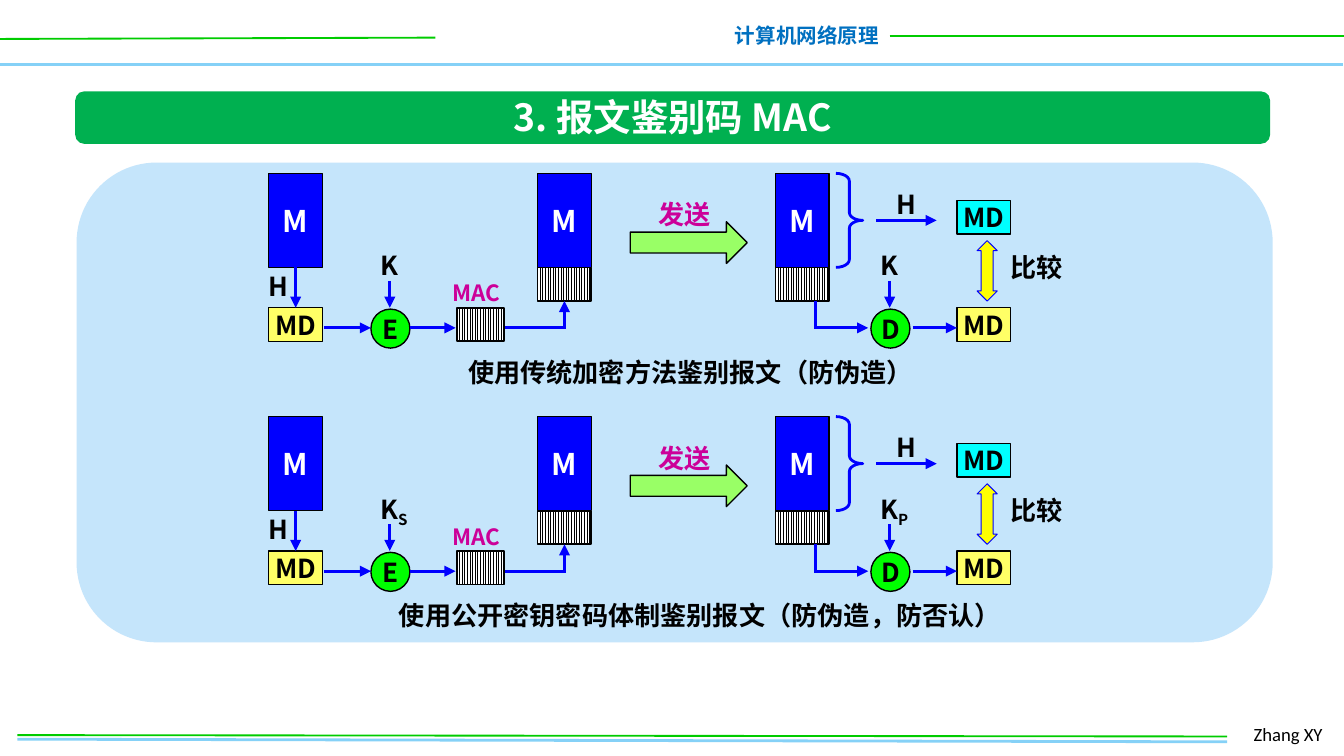
from dataclasses import dataclass

from lxml.etree import SubElement
from pptx import Presentation
from pptx.dml.color import RGBColor
from pptx.enum.dml import MSO_PATTERN
from pptx.enum.shapes import MSO_CONNECTOR, MSO_SHAPE
from pptx.enum.text import MSO_ANCHOR, MSO_AUTO_SIZE, PP_ALIGN
from pptx.oxml.ns import qn
from pptx.util import Inches, Pt


@dataclass(frozen=True)
class Theme:
    font: str = "Noto Sans CJK SC"
    footer_font: str = "Calibri"
    black: str = "000000"
    white: str = "FFFFFF"
    blue: str = "0000FF"
    yellow: str = "FFFF00"
    digest: str = "FFFF66"
    received_digest: str = "00FFFF"
    cipher: str = "00FF00"
    send: str = "99FF66"
    accent: str = "CC0099"
    banner: str = "00B050"
    panel: str = "C5E5FB"
    course: str = "0070C0"
    green_rule: str = "00CC00"
    sky_rule: str = "85D1F7"
    title_size: float = 20
    message_size: float = 16
    body_size: float = 14
    mac_size: float = 12
    course_size: float = 11
    footer_size: float = 10


THEME = Theme()
SCHEME_STEP = 1.81
FLOW_Y = 2.44  # height of the horizontal flow in the first scheme


def color(value):
    return RGBColor.from_string(value)


def place(shape, left, top, width, height):
    shape.left, shape.top = Inches(left), Inches(top)
    shape.width, shape.height = Inches(width), Inches(height)


def format_span(span, size, fill, bold=True, font=THEME.font):
    span.font.size = Pt(size)
    span.font.bold = bold
    span.font.name = font
    span.font.color.rgb = color(fill)
    SubElement(span.font._element, qn("a:ea"), typeface=font)


def write(frame, text, size, fill, align=PP_ALIGN.CENTER, **font_options):
    frame.text = text
    frame.word_wrap = False
    para = frame.paragraphs[0]
    para.alignment = align
    format_span(para.runs[0], size, fill, **font_options)


def add_label(shapes, bounds, text, size=THEME.body_size, fill=THEME.black,
              align=PP_ALIGN.LEFT, subscript="", **font_options):
    box = shapes.add_textbox(*map(Inches, bounds))
    frame = box.text_frame
    write(frame, text, size, fill, align, **font_options)
    frame.auto_size = MSO_AUTO_SIZE.SHAPE_TO_FIT_TEXT
    if subscript:
        span = frame.paragraphs[0].add_run()
        span.text = subscript
        format_span(span, size, fill)
        span.font._element.set("baseline", "-25000")


def add_block(shapes, kind, bounds, fill=None, line=None, weight=0.75,
              text="", size=THEME.body_size, text_fill=THEME.black, adjust=()):
    block = shapes.add_shape(kind, *map(Inches, bounds))
    block.shadow.inherit = False
    for index, value in enumerate(adjust):
        block.adjustments[index] = value
    if fill:
        block.fill.solid()
        block.fill.fore_color.rgb = color(fill)
    else:
        block.fill.background()
    if line:
        block.line.color.rgb = color(line)
        block.line.width = Pt(weight)
    else:
        block.line.fill.background()
    if text:
        frame = block.text_frame
        frame.margin_left = frame.margin_right = 0
        frame.margin_top = frame.margin_bottom = 0
        frame.vertical_anchor = MSO_ANCHOR.MIDDLE
        write(frame, text, size, text_fill)
    return block


def add_line(shapes, start, end, fill=THEME.blue, weight=1.5, arrow=False):
    line = shapes.add_connector(MSO_CONNECTOR.STRAIGHT, *map(Inches, (*start, *end)))
    line.line.color.rgb = color(fill)
    line.line.width = Pt(weight)
    if arrow:
        SubElement(line.line._get_or_add_ln(), qn("a:tailEnd"), type="triangle")
    SubElement(line._element.spPr, qn("a:effectLst"))


def add_message(shapes, left, top):
    add_block(shapes, MSO_SHAPE.RECTANGLE, (left, top, 0.4, 0.7), THEME.blue, THEME.black,
              text="M", size=THEME.message_size, text_fill=THEME.white)


def add_mac(shapes, left, top, width=0.4):
    block = add_block(shapes, MSO_SHAPE.RECTANGLE, (left, top, width, 0.25),
                      line=THEME.black, weight=1)
    block.fill.patterned()
    block.fill.pattern = MSO_PATTERN.LIGHT_VERTICAL
    block.fill.fore_color.rgb = color(THEME.black)
    block.fill.back_color.rgb = color(THEME.white)


def add_digest(shapes, left, top, fill=THEME.digest):
    add_block(shapes, MSO_SHAPE.RECTANGLE, (left, top, 0.4, 0.25), fill, THEME.black, text="MD")


def add_cipher(shapes, left, dy, letter, key):
    """Cipher circle with its key coming in from above."""
    add_block(shapes, MSO_SHAPE.OVAL, (left, 2.3 + dy, 0.29, 0.29), THEME.cipher,
              THEME.black, text=letter)
    width = 0.42 if key else 0.34
    add_label(shapes, (left - 0.03, 1.81 + dy, width, 0.34), "K", subscript=key)
    center = left + 0.14
    add_line(shapes, (center, 2.09 + dy), (center, 2.29 + dy), arrow=True)


def add_scheme(slide, dy, encrypt_key="", decrypt_key=""):
    shapes = slide.shapes.add_group_shape().shapes
    flow = FLOW_Y + dy

    # Messages, the MACs attached to them, and digests
    for left in (2, 4, 5.77):
        add_message(shapes, left, 1.29 + dy)
    for left in (4, 5.77):
        add_mac(shapes, left, 1.99 + dy)
    add_mac(shapes, 3.4, 2.29 + dy, 0.35)
    for left in (2, 7.12):
        add_digest(shapes, left, 2.29 + dy)
    add_digest(shapes, 7.12, 1.49 + dy, THEME.received_digest)

    # Ciphers and keys
    add_cipher(shapes, 2.76, dy, "E", encrypt_key)
    add_cipher(shapes, 6.48, dy, "D", decrypt_key)

    # Flow lines
    for start, end in ((2.41, 2.76), (3.05, 3.39), (6.06, 6.46), (6.79, 7.12)):
        add_line(shapes, (start, flow), (end, flow), arrow=True)
    add_line(shapes, (2.2, 1.99 + dy), (2.2, 2.29 + dy), arrow=True)
    add_line(shapes, (3.76, flow), (4.21, flow))
    add_line(shapes, (4.2, flow), (4.2, flow - 0.2), arrow=True)
    add_line(shapes, (6.07, flow), (6.07, flow - 0.2))
    add_line(shapes, (6.52, 1.64 + dy), (6.97, 1.64 + dy), arrow=True)

    # Brace, sending and comparison
    add_block(shapes, MSO_SHAPE.RIGHT_BRACE, (6.22, 1.29 + dy, 0.2, 0.7),
              line=THEME.blue, weight=1.5, adjust=(0.29, 0.5))
    add_block(shapes, MSO_SHAPE.RIGHT_ARROW, (4.69, 1.65 + dy, 0.87, 0.31),
              THEME.send, THEME.black)
    add_block(shapes, MSO_SHAPE.UP_DOWN_ARROW, (7.27, 1.79 + dy, 0.15, 0.45),
              THEME.yellow, THEME.blue, 0.5, adjust=(0.5, 0.6))

    # Labels
    add_label(shapes, (1.9, 1.96 + dy, 0.36, 0.34), "H")
    add_label(shapes, (6.57, 1.35 + dy, 0.36, 0.34), "H")
    add_label(shapes, (7.42, 1.82 + dy, 0.59, 0.34), "比较")
    add_label(shapes, (4.8, 1.43 + dy, 0.59, 0.34), "发送", fill=THEME.accent)
    add_label(shapes, (3.27, 2.03 + dy, 0.61, 0.3), "MAC", THEME.mac_size, THEME.accent)


def add_frame(shapes):
    """Header and footer rules with their texts."""
    for start, end, fill, weight in (
        ((-0.01, 0.48), (9.99, 0.48), THEME.sky_rule, 2),
        ((0, 0.29), (3.24, 0.28), THEME.green_rule, 1),
        ((6.62, 0.27), (10.01, 0.27), THEME.green_rule, 1),
        ((0.13, 5.5), (9.13, 5.52), THEME.sky_rule, 1.5),
        ((0.13, 5.47), (9.13, 5.48), THEME.green_rule, 1),
    ):
        add_line(shapes, start, end, fill, weight)
    add_label(shapes, (5.36, 0.12, 1.28, 0.29), "计算机网络原理", THEME.course_size,
              THEME.course, PP_ALIGN.RIGHT)
    add_label(shapes, (9.23, 5.33, 0.74, 0.27), "Zhang XY", THEME.footer_size,
              bold=False, font=THEME.footer_font)


def add_title(slide):
    banner = add_block(slide.shapes, MSO_SHAPE.ROUNDED_RECTANGLE, (0.56, 0.68, 8.89, 0.39),
                       THEME.banner, adjust=(0.17,))
    title = slide.shapes.title
    title.element.addprevious(banner.element)  # banner lies behind the title
    place(title, 3.65, 0.65, 2.71, 0.44)
    write(title.text_frame, "3. 报文鉴别码 MAC", THEME.title_size, THEME.white)


def main():
    deck = Presentation()
    deck.slide_width = Inches(10)
    deck.slide_height = deck.slide_width * 9 // 16
    slide = deck.slides.add_slide(deck.slide_layouts[5])
    add_frame(slide.shapes)
    add_title(slide)

    # Panel with the two authentication schemes
    add_block(slide.shapes, MSO_SHAPE.ROUNDED_RECTANGLE, (0.57, 1.21, 8.9, 3.57), THEME.panel)
    add_label(slide.shapes, (3.37, 2.6, 3.54, 0.34), "使用传统加密方法鉴别报文（防伪造）",
              align=PP_ALIGN.CENTER)
    add_label(slide.shapes, (2.85, 2.6 + SCHEME_STEP, 4.72, 0.34),
              "使用公开密钥密码体制鉴别报文（防伪造，防否认）", align=PP_ALIGN.CENTER)
    add_scheme(slide, 0)
    add_scheme(slide, SCHEME_STEP, "S", "P")
    deck.save("out.pptx")


if __name__ == "__main__":
    main()
